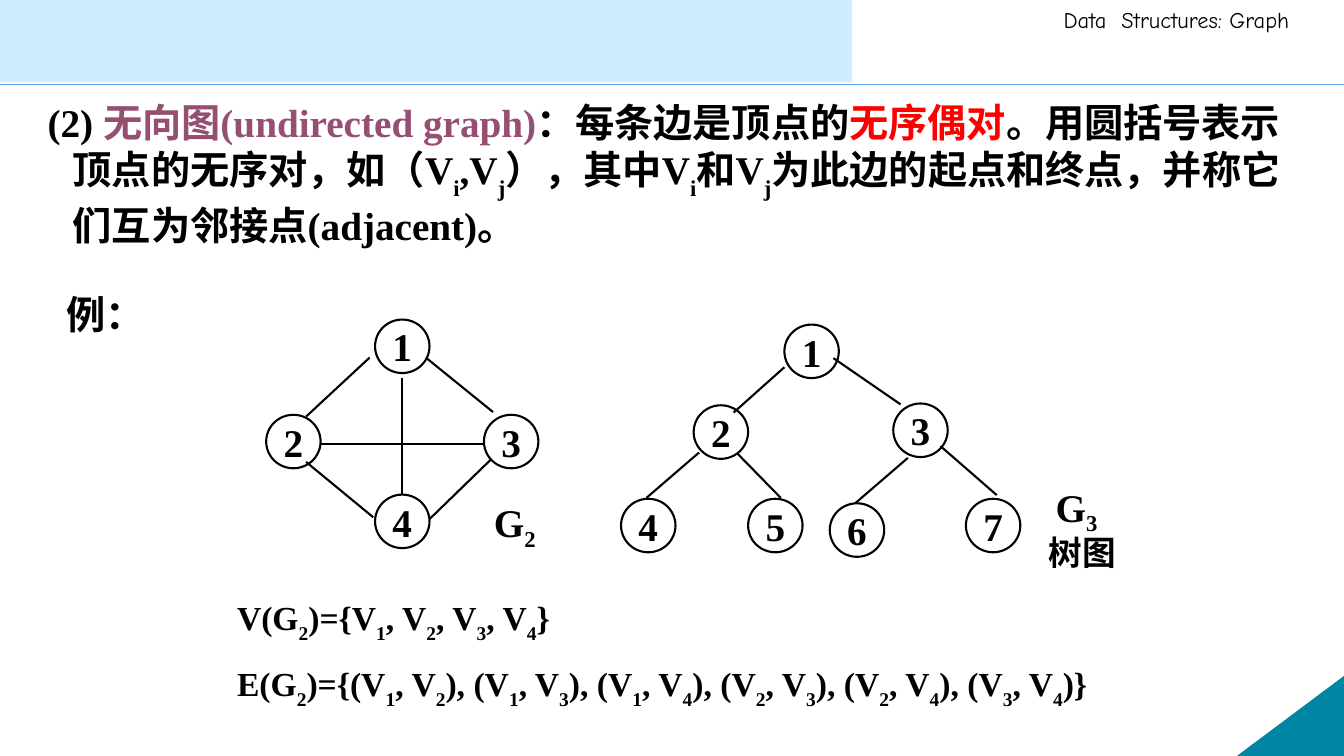
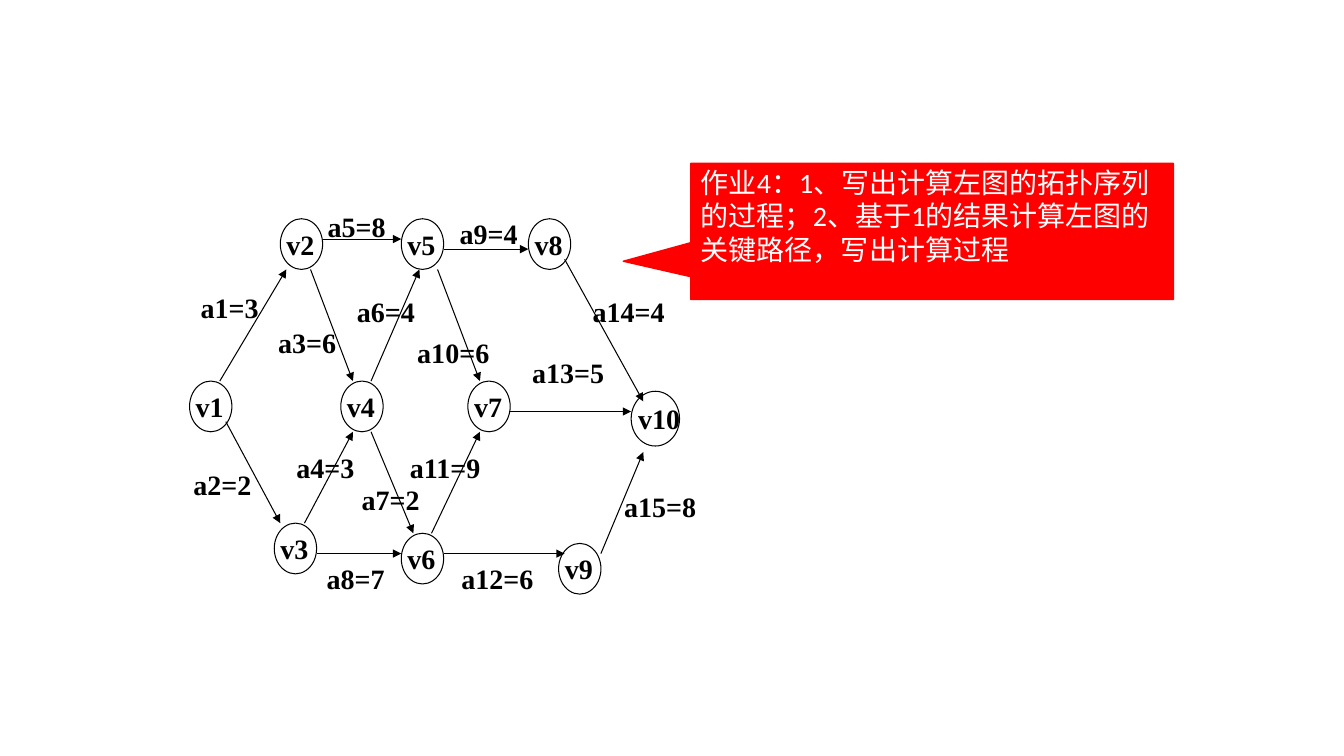
from dataclasses import dataclass
from typing import NamedTuple

from lxml.etree import SubElement
from pptx import Presentation
from pptx.dml.color import RGBColor
from pptx.enum.shapes import MSO_CONNECTOR as Link, MSO_SHAPE as Kind
from pptx.enum.text import MSO_ANCHOR as Anchor, PP_ALIGN as Align
from pptx.oxml.ns import qn
from pptx.util import Inches, Pt

WIDE, HIGH = 13.33, 7.5
INK = {
    "black": "000000", "white": "FFFFFF", "red": "FF0000", "plum": "954F72",
    "sky": "CFEDFE", "rule": "5AAAED", "teal": "0085A4",
}
SERIF, SANS, COMIC = "Times New Roman", "Calibri", "Comic Neue"


@dataclass(frozen=True)
class Grid:
    left: float
    top: float
    col: float
    row: float

    def spot(self, x: float, y: float) -> tuple:
        return Inches(self.left + x * self.col), Inches(self.top + y * self.row)

    def box(self, x: float, y: float, wide: float, high: float) -> tuple:
        return (*self.spot(x, y), Inches(wide * self.col), Inches(high * self.row))


class Node(NamedTuple):
    name: str
    x: float
    y: float
    wide: float
    high: float


class Edge(NamedTuple):
    x1: float
    y1: float
    x2: float
    y2: float


class Task(NamedTuple):
    edge: Edge
    cost: int
    x: float
    y: float


@dataclass(frozen=True)
class Style:
    size: float
    font: str = SERIF
    bold: bool = True
    ink: str = "black"
    sub: int = -30


@dataclass(frozen=True)
class Graph:
    grid: Grid
    nodes: list
    edges: list
    label: str
    x: float
    y: float


PAGE = Grid(0, 0, WIDE / 100, HIGH / 100)
NET = Grid(1.88, 2.17, 0.06, 3.02 / 30)
BIG = Style(28)
MID = Style(24)
TAG = Style(28, sub=-25)
SMALL = Style(20)


def disc(name: str, x: float, y: float) -> Node:
    return Node(name, x, y, 3, 5.9)


def oval(name: str, x: float, y: float) -> Node:
    return Node(name, x, y, 7, 5)


GRAPHS = [
    Graph(
        Grid(2.64, 3.17, 0.18, 0.09),
        [disc("1", 6, 0), disc("2", 0, 10.5), disc("3", 12, 10.5), disc("4", 6, 19.3)],
        [
            Edge(5.7, 4.2, 2.2, 10.7), Edge(2.2, 15.7, 5.9, 21.8),
            Edge(12.5, 10.2, 8.8, 4.2), Edge(12.4, 15.4, 9, 22),
            Edge(3, 13.7, 12, 13.7), Edge(7.5, 6.4, 7.5, 19.2),
        ],
        "G_2", 12, 19.2,
    ),
    Graph(
        Grid(6.16, 3.22, 0.18, 0.09),
        [
            disc("1", 9, 0), disc("2", 4, 8.9), disc("3", 15, 8.7), disc("4", 0, 19.2),
            disc("5", 7, 19.2), disc("6", 11.5, 19.7), disc("7", 19, 19.2),
        ],
        [
            Edge(9, 4.7, 6.2, 9.7), Edge(4.3, 14.1, 1.4, 19.1),
            Edge(15.8, 14.7, 12.9, 19.7), Edge(20.7, 18.8, 17.6, 13.4),
            Edge(15.4, 8.8, 11.7, 3.7), Edge(8.8, 19.1, 6.4, 14.2),
        ],
        "G_3", 23.4, 16.9,
    ),
]
STEPS = [
    oval("v1", 0, 16), oval("v2", 15, 0), oval("v3", 14, 30), oval("v4", 25, 16),
    oval("v5", 35, 0), oval("v6", 35, 31), oval("v7", 46, 16), oval("v8", 56, 0),
    oval("v9", 61, 32), Node("v10", 73, 17, 8, 5.4),
]
TASKS = [
    Task(Edge(5, 16, 16, 5), 3, 0.2, 6.6),
    Task(Edge(6, 20, 15, 30), 2, -1, 24),
    Task(Edge(20, 5, 27, 16), 6, 13, 10),
    Task(Edge(19, 30, 27, 21), 3, 16, 22.4),
    Task(Edge(22, 2, 35, 2), 8, 21.2, -1.4),
    Task(Edge(30, 16, 38, 5), 4, 26, 7),
    Task(Edge(30, 21, 37, 31), 2, 26.8, 25.5),
    Task(Edge(21, 33, 35, 33), 7, 21, 33.3),
    Task(Edge(42, 3, 56, 3), 4, 43, -0.7),
    Task(Edge(41, 5, 48, 16), 6, 36, 11),
    Task(Edge(40, 31, 48, 21), 9, 34.8, 22.4),
    Task(Edge(42, 33, 62, 33), 6, 43.3, 33.3),
    Task(Edge(53, 19, 73, 19), 5, 55, 13),
    Task(Edge(62, 4, 75, 18), 4, 65, 7),
    Task(Edge(68, 33, 75, 23), 8, 70.2, 26.2),
]
RULE = [
    ("(2) ", "black"), ("无向图(undirected graph)", "plum"),
    ("：每条边是顶点的", "black"), ("无序偶对", "red"),
    ("。用圆括号表示顶点的无序对，如（V_i,V_j），其中V_i和V_j"
     "为此边的起点和终点，并称它们互为邻接点(adjacent)。", "black"),
]
SETS = [
    "V(G_2)={V_1, V_2, V_3, V_4}",
    "E(G_2)={(V_1, V_2), (V_1, V_3), (V_1, V_4), (V_2, V_3), (V_2, V_4), (V_3, V_4)}",
]
WORK = "作业4：1、写出计算左图的拓扑序列的过程；2、基于1的结果计算左图的关键路径，写出计算过程"


def tint(name: str) -> RGBColor:
    return RGBColor.from_string(INK[name])


def write(para, parts: list, style: Style) -> None:
    for text, ink in parts:
        for i, part in enumerate(text.split("_")):
            cut = 1 if i else 0
            for piece, low in ((part[:cut], True), (part[cut:], False)):
                if not piece:
                    continue
                run = para.add_run()
                run.text = piece
                if low:
                    run.font._element.set("baseline", str(style.sub * 1000))
                if ink != style.ink:
                    run.font.color.rgb = tint(ink)
    font = para.font
    font.size, font.name, font.bold = Pt(style.size), style.font, style.bold
    font.color.rgb = tint(style.ink)


def hang(para, left: float, first: float) -> None:
    props = para._p.get_or_add_pPr()
    props.set("marL", str(Inches(left)))
    props.set("indent", str(Inches(first)))


def note(slide, box: tuple, text: str, style: Style, wrap: bool = False):
    frame = slide.shapes.add_textbox(*box).text_frame
    frame.word_wrap = wrap
    write(frame.paragraphs[0], [(text, style.ink)], style)
    return frame


def shape(slide, kind, box: tuple, fill: str, line: str = "", width: float = 1):
    form = slide.shapes.add_shape(kind, *box)
    form.shadow.inherit = False
    form.fill.solid()
    form.fill.fore_color.rgb = tint(fill)
    if line:
        form.line.color.rgb = tint(line)
        form.line.width = Pt(width)
    else:
        form.line.fill.background()
    return form


def join(slide, grid: Grid, edge: Edge, width: float, ink: str = "black",
         arrow: bool = False) -> None:
    wire = slide.shapes.add_connector(
        Link.STRAIGHT, *grid.spot(edge.x1, edge.y1), *grid.spot(edge.x2, edge.y2))
    wire.line.color.rgb = tint(ink)
    wire.line.width = Pt(width)
    if arrow:
        SubElement(wire.line._get_or_add_ln(), qn("a:tailEnd"), type="triangle")
    SubElement(wire._element.spPr, qn("a:effectLst"))


def ring(slide, grid: Grid, node: Node, kind, style: Style, width: float, align) -> None:
    form = shape(slide, kind, grid.box(*node[1:]), "white", "black", width)
    frame = form.text_frame
    frame.word_wrap = False
    frame.margin_left = frame.margin_right = 0
    frame.vertical_anchor = Anchor.MIDDLE
    para = frame.paragraphs[0]
    para.alignment = align
    write(para, [(node.name, style.ink)], style)


def frame_page(slide) -> None:
    join(slide, PAGE, Edge(0, 11.2, 100, 11.2), 1, "rule")
    wedge = shape(slide, Kind.RIGHT_TRIANGLE, PAGE.box(92.1, 89.5, 7.9, 10.5),
                  "teal", "teal", 0.75)
    wedge._element.spPr.xfrm.set("flipH", "1")
    shape(slide, Kind.RECTANGLE, PAGE.box(0, 0, 63.4, 10.9), "sky")
    note(slide, PAGE.box(78.4, 0.1, 21.6, 4.9), "Data  Structures: Graph",
         Style(16, COMIC, False), True)


def draw_graphs(slide) -> None:
    frame_page(slide)
    body = slide.shapes.add_textbox(*PAGE.box(2.8, 12.4, 95.1, 32.3)).text_frame
    body.word_wrap = True
    para = body.paragraphs[0]
    hang(para, 0.25, -0.25)
    write(para, RULE, BIG)
    para = body.add_paragraph()
    hang(para, 0.19, 0)
    para.space_before = Pt(30)
    write(para, [("例：", "black")], BIG)

    for graph in GRAPHS:
        for node in graph.nodes:
            ring(slide, graph.grid, node, Kind.FLOWCHART_CONNECTOR, BIG, 1.5, Align.CENTER)
        for edge in graph.edges:
            join(slide, graph.grid, edge, 1.5)
        note(slide, graph.grid.box(graph.x, graph.y, 6, 8.2), graph.label, TAG, True)

    sets = note(slide, PAGE.box(16.9, 78.3, 69.4, 14.8), SETS[0], MID, True)
    para = sets.add_paragraph()
    para.space_before = Pt(13)
    write(para, [(SETS[1], "black")], MID)
    tree = note(slide, PAGE.box(77.3, 70.7, 6.6, 5.6), "树图", MID)
    tree.paragraphs[0].line_spacing = 0.8


def draw_net(slide) -> None:
    for node in STEPS:
        ring(slide, NET, node, Kind.OVAL, SMALL, 0.75, Align.LEFT)
    for i, task in enumerate(TASKS, 1):
        join(slide, NET, task.edge, 0.75, arrow=True)
        text = f"a{i}={task.cost}"
        wide = 13 if i < 10 else 15.3
        note(slide, NET.box(task.x, task.y, wide, 4.4), text, SMALL)
    call = shape(slide, Kind.RECTANGULAR_CALLOUT, PAGE.box(51.4, 21.6, 35.9, 18),
                 "red", "red")
    call.adjustments[0], call.adjustments[1] = -0.64, 0.22
    frame = call.text_frame
    frame.word_wrap = True
    frame.margin_top = Inches(0.02)
    frame.vertical_anchor = Anchor.TOP
    para = frame.paragraphs[0]
    para.alignment = Align.LEFT
    write(para, [(WORK, "white")], Style(20, SANS, False, "white"))


def main() -> None:
    deck = Presentation()
    deck.slide_width, deck.slide_height = Inches(WIDE), Inches(HIGH)
    blank = deck.slide_layouts[6]
    for draw in (draw_graphs, draw_net):
        draw(deck.slides.add_slide(blank))
    deck.save("out.pptx")


if __name__ == "__main__":
    main()
